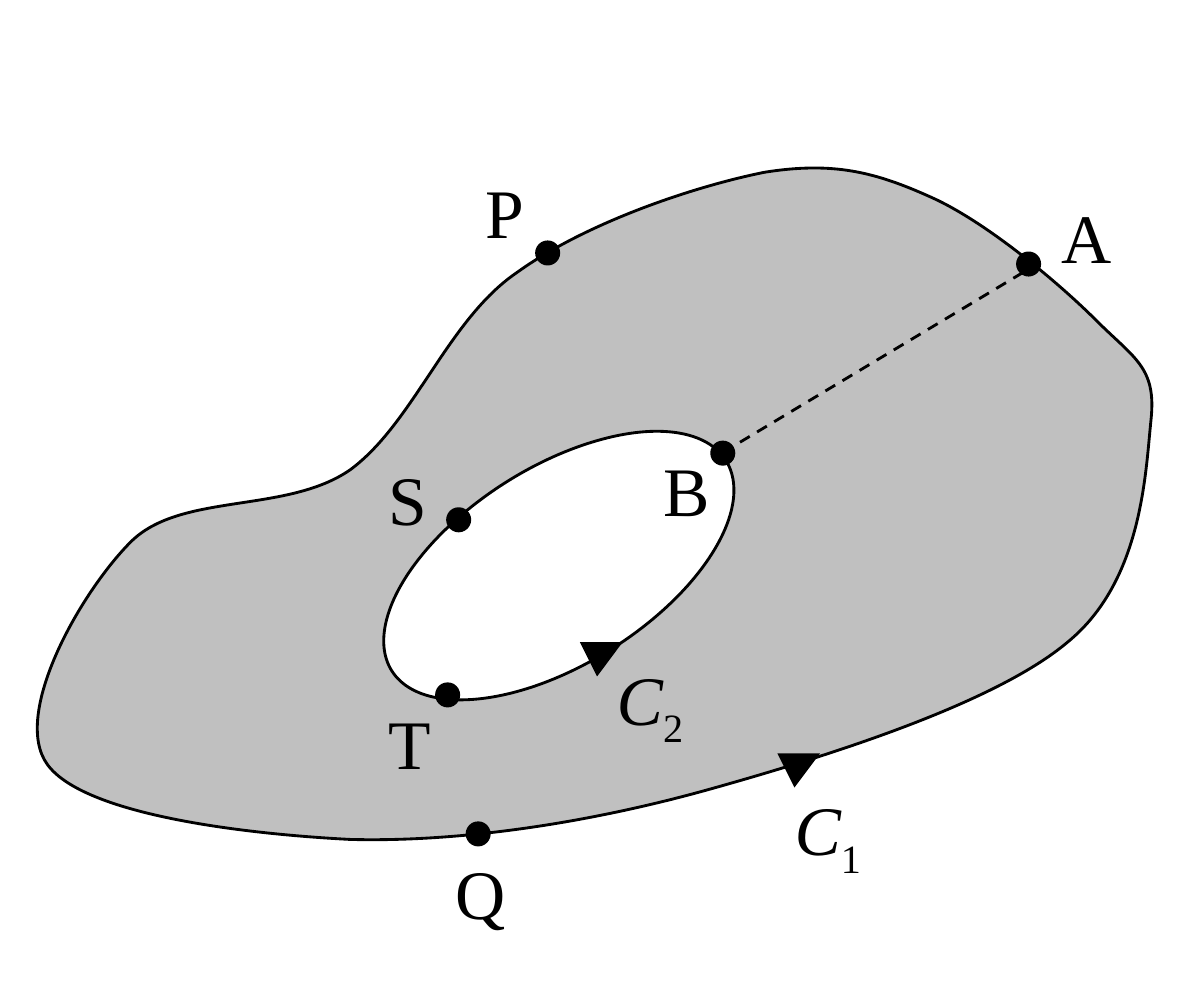
from lxml import etree
from pptx import Presentation
from pptx.dml.color import RGBColor
from pptx.enum.dml import MSO_LINE
from pptx.enum.shapes import MSO_CONNECTOR, MSO_SHAPE
from pptx.enum.text import MSO_AUTO_SIZE
from pptx.oxml.ns import qn
from pptx.util import Inches, Pt

OVAL = MSO_SHAPE.OVAL
STRAIGHT = MSO_CONNECTOR.STRAIGHT
DASH = MSO_LINE.DASH
FIT = MSO_AUTO_SIZE.SHAPE_TO_FIT_TEXT

COLORS = {"ink": "000000", "region": "C0C0C0", "hole": "FFFFFF"}
FONT = "Times New Roman"
CM = 1 / 2.54
DOT = 0.08

OUTER = [
    (3.94, 1.15),
    (3.81, 1.02), (3.55, 0.8), (3.35, 0.71),
    (3.15, 0.62), (3, 0.58), (2.75, 0.62),
    (2.5, 0.67), (2.11, 0.8), (1.86, 0.98),
    (1.61, 1.15), (1.49, 1.52), (1.26, 1.69),
    (1.03, 1.85), (0.65, 1.77), (0.47, 1.95),
    (0.29, 2.13), (0.04, 2.57), (0.17, 2.75),
    (0.3, 2.93), (0.87, 3), (1.26, 3.02),
    (1.66, 3.03), (2.12, 2.96), (2.55, 2.84),
    (2.98, 2.72), (3.58, 2.53), (3.84, 2.31),
    (4.11, 2.09), (4.12, 1.7), (4.14, 1.51),
    (4.16, 1.32), (4.08, 1.29), (3.94, 1.15),
]
DOTS = [(1.93, 0.87), (3.66, 0.91), (1.68, 2.96),
        (2.56, 1.59), (1.61, 1.83), (1.57, 2.46)]
TIPS = [(2.95, 2.71), (2.24, 2.31)]
POINTS = [("P", 1.65, 0.56, 0.34), ("A", 3.72, 0.65, 0.38),
          ("Q", 1.54, 3.01, 0.38), ("T", 1.3, 2.47, 0.35),
          ("S", 1.3, 1.59, 0.34), ("B", 2.29, 1.56, 0.36)]
CURVES = [("1", 2.76, 2.78), ("2", 2.12, 2.31)]


class Sketch:
    """Draws the parts of a line figure on one slide."""

    def __init__(self, slide):
        self.shapes = slide.shapes

    def color(self, name):
        return RGBColor.from_string(COLORS[name])

    def stroke(self, line):
        line.color.rgb = self.color("ink")
        line.width = Pt(0.75)

    def paint(self, shape, fill):
        shape.shadow.inherit = False
        shape.fill.solid()
        shape.fill.fore_color.rgb = self.color(fill)
        self.stroke(shape.line)

    def curve(self, points, fill):
        start, *rest = [(Inches(x), Inches(y)) for x, y in points]
        builder = self.shapes.build_freeform(*start)
        builder.add_line_segments(rest, close=True)
        shape = builder.convert_to_shape()
        steps = list(shape.element.iter(qn("a:lnTo")))
        for i in range(0, len(steps), 3):
            bend = etree.Element(qn("a:cubicBezTo"))
            steps[i].addprevious(bend)
            for step in steps[i:i + 3]:
                bend.append(step[0])
                step.getparent().remove(step)
        self.paint(shape, fill)

    def oval(self, x, y, w, h, fill, turn=0):
        shape = self.shapes.add_shape(
            OVAL, Inches(x), Inches(y), Inches(w), Inches(h))
        shape.rotation = turn
        self.paint(shape, fill)

    def line(self, x1, y1, x2, y2, dash=None, arrow=False):
        link = self.shapes.add_connector(
            STRAIGHT, Inches(x1), Inches(y1), Inches(x2), Inches(y2))
        self.stroke(link.line)
        if dash:
            link.line.dash_style = dash
        if arrow:
            etree.SubElement(link.line._get_or_add_ln(), qn("a:tailEnd"),
                             type="triangle", w="lg", len="lg")
        etree.SubElement(link.element.spPr, qn("a:effectLst"))

    def label(self, text, x, y, w, h=0.4, sub=""):
        box = self.shapes.add_textbox(
            Inches(x), Inches(y), Inches(w), Inches(h))
        frame = box.text_frame
        frame.word_wrap = False
        frame.auto_size = FIT
        para = frame.paragraphs[0]
        para.font.name = FONT
        para.font.size = Pt(18)
        para.font.color.rgb = self.color("ink")
        run = para.add_run()
        run.text = text
        if sub:
            run.font.italic = True
            low = para.add_run()
            low.text = sub
            low._r.get_or_add_rPr().set("baseline", "-25000")


def main():
    deck = Presentation()
    deck.slide_width = Inches(11 * CM)
    deck.slide_height = Inches(9 * CM)
    sketch = Sketch(deck.slides.add_slide(deck.slide_layouts[6]))

    sketch.curve(OUTER, "region")
    sketch.oval(1.3, 1.68, 1.42, 0.71, "hole", 327.8)
    for x, y in TIPS:
        sketch.line(x - 0.08, y + 0.04, x, y, arrow=True)
    for x, y in DOTS:
        sketch.oval(x, y, DOT, DOT, "ink")
    for name, x, y, w in POINTS:
        sketch.label(name, x, y, w)
    sketch.line(3.68, 0.98, 2.63, 1.61, dash=DASH)
    for sub, x, y in CURVES:
        sketch.label("C", x, y, 0.44, 0.44, sub)

    deck.save("out.pptx")


if __name__ == "__main__":
    main()
